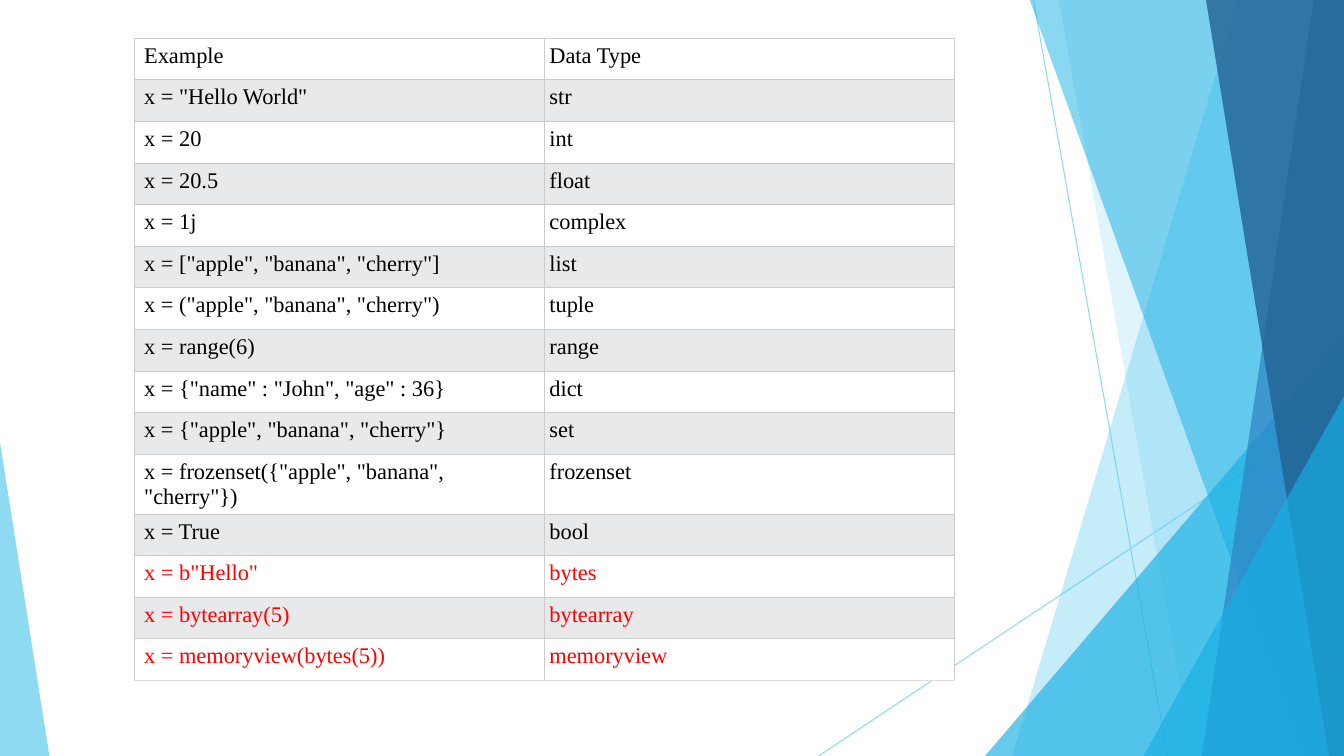
from lxml import etree
from pptx import Presentation
from pptx.dml.color import RGBColor
from pptx.enum.shapes import MSO_CONNECTOR, MSO_SHAPE
from pptx.oxml.ns import qn
from pptx.util import Inches, Pt

STRAIGHT = MSO_CONNECTOR.STRAIGHT
TRIANGLE = MSO_SHAPE.ISOSCELES_TRIANGLE
SKY = RGBColor(0x5F, 0xCB, 0xEF)
CYAN = RGBColor(0x17, 0xB0, 0xE4)
BLUE = RGBColor(0x2E, 0x83, 0xC3)
NAVY = RGBColor(0x22, 0x62, 0x92)
WHITE = RGBColor(0xFF, 0xFF, 0xFF)
BAND = RGBColor(0xE7, 0xE9, 0xEB)
BLACK = RGBColor(0, 0, 0)
RED = RGBColor(0xFF, 0, 0)
GRID = RGBColor(0xCC, 0xCC, 0xCC)
LAST_EDGE = RGBColor(0xDD, 0xDD, 0xDD)
FONT = "Times New Roman"
WIDTH, HEIGHT = 13.33, 7.5

DATA_TYPES = [
    ("Example", "Data Type"),
    ('x = "Hello World"', "str"),
    ("x = 20", "int"),
    ("x = 20.5", "float"),
    ("x = 1j", "complex"),
    ('x = ["apple", "banana", "cherry"]', "list"),
    ('x = ("apple", "banana", "cherry")', "tuple"),
    ("x = range(6)", "range"),
    ('x = {"name" : "John", "age" : 36}', "dict"),
    ('x = {"apple", "banana", "cherry"}', "set"),
    ('x = frozenset({"apple", "banana", "cherry"})', "frozenset"),
    ("x = True", "bool"),
    ('x = b"Hello"', "bytes"),
    ("x = bytearray(5)", "bytearray"),
    ("x = memoryview(bytes(5))", "memoryview"),
]
WRAPPED_ROW, FIRST_RED_ROW = 10, 12


def set_alpha(fill_parent, percent):
    color = fill_parent.find(".//" + qn("a:srgbClr"))
    etree.SubElement(color, qn("a:alpha")).set("val", str(percent * 1000))


def paint(sp, color, opacity):
    sp.shadow.inherit = False
    sp.fill.solid()
    sp.fill.fore_color.rgb = color
    set_alpha(sp._element.spPr, opacity)
    sp.line.fill.background()


def add_ray(s, x1, y1, x2, y2):
    line = s.shapes.add_connector(
        STRAIGHT, Inches(x1), Inches(y1), Inches(x2), Inches(y2))
    line.line.color.rgb = SKY
    line.line.width = Pt(0.75)
    set_alpha(line._element.spPr, 70)
    etree.SubElement(line._element.spPr, qn("a:effectLst"))


def add_triangle(s, left, top, width, height, apex, color, opacity):
    sp = s.shapes.add_shape(
        TRIANGLE, Inches(left), Inches(top), Inches(width), Inches(height))
    sp.adjustments[0] = apex
    paint(sp, color, opacity)


def add_shard(s, top_x, bottom_x, right, bottom, color, opacity):
    top = -0.01
    points = [(top_x, top), (right, top), (right, bottom), (bottom_x, bottom)]
    corners = [(Inches(x), Inches(y)) for x, y in points]
    builder = s.shapes.build_freeform(*corners[0])
    builder.add_line_segments(corners[1:], close=True)
    paint(builder.convert_to_shape(), color, opacity)


def add_facets(s, left, top, width, height):
    right, bottom = left + width, top + height
    add_ray(s, left + 2.13, top, left + 3.46, bottom)
    add_ray(s, right, top + 4.03, left, bottom)
    add_shard(s, left + 4.16, left + 1.92, right, bottom, SKY, 36)
    add_shard(s, left + 2.38, left + 3.71, right, bottom, SKY, 20)
    add_triangle(s, right - 3.56, bottom - 4.17, 3.56, 4.17, 1, CYAN, 66)
    add_shard(s, left + 2.09, left + 4.79, right, bottom, CYAN, 50)
    add_shard(s, left + 4.91, left + 3.8, right, bottom, BLUE, 70)
    add_shard(s, left + 3.84, left + 5.06, right, bottom, NAVY, 80)
    add_triangle(s, right - 1.99, bottom - 3.57, 1.99, 3.57, 1, CYAN, 66)


def set_borders(cell, bottom_color):
    tcPr = cell._tc.get_or_add_tcPr()
    edges = {"a:lnL": GRID, "a:lnR": GRID, "a:lnT": GRID, "a:lnB": bottom_color}
    for i, (tag, color) in enumerate(edges.items()):
        ln = etree.Element(qn(tag), w=str(Pt(0.75)))
        fill = etree.SubElement(ln, qn("a:solidFill"))
        etree.SubElement(fill, qn("a:srgbClr"), val=str(color))
        tcPr.insert(i, ln)


def fill_cell(cell, text, row, col):
    cell.text = text
    cell.margin_left = Inches(0.05 if col else 0.1)
    cell.margin_right = cell.margin_top = cell.margin_bottom = Inches(0.05)
    cell.fill.solid()
    cell.fill.fore_color.rgb = BAND if row % 2 else WHITE
    font = cell.text_frame.paragraphs[0].font
    font.name, font.size, font.bold = FONT, Pt(16), False
    font.color.rgb = RED if row >= FIRST_RED_ROW else BLACK
    set_borders(cell, LAST_EDGE if row == len(DATA_TYPES) - 1 else GRID)


def add_type_table(s, left, top, width, height):
    count = len(DATA_TYPES)
    table = s.shapes.add_table(
        count, 2, Inches(left), Inches(top), Inches(width), Inches(height)).table
    wrapped_height = 0.59
    row_height = (height - wrapped_height) / (count - 1)
    for col in table.columns:
        col.width = Inches(width / 2)
    for i, texts in enumerate(DATA_TYPES):
        table.rows[i].height = Inches(
            wrapped_height if i == WRAPPED_ROW else row_height)
        for j, text in enumerate(texts):
            fill_cell(table.cell(i, j), text, i, j)


prs = Presentation()
prs.slide_width, prs.slide_height = Inches(WIDTH), Inches(HEIGHT)
s = prs.slides.add_slide(prs.slide_layouts[6])
add_facets(s, 8.12, 0, 5.21, HEIGHT)
add_triangle(s, 0, 4.39, 0.49, 3.11, 0, SKY, 70)
add_type_table(s, 1.33, 0.38, 8.14, 6.37)
prs.save("out.pptx")
